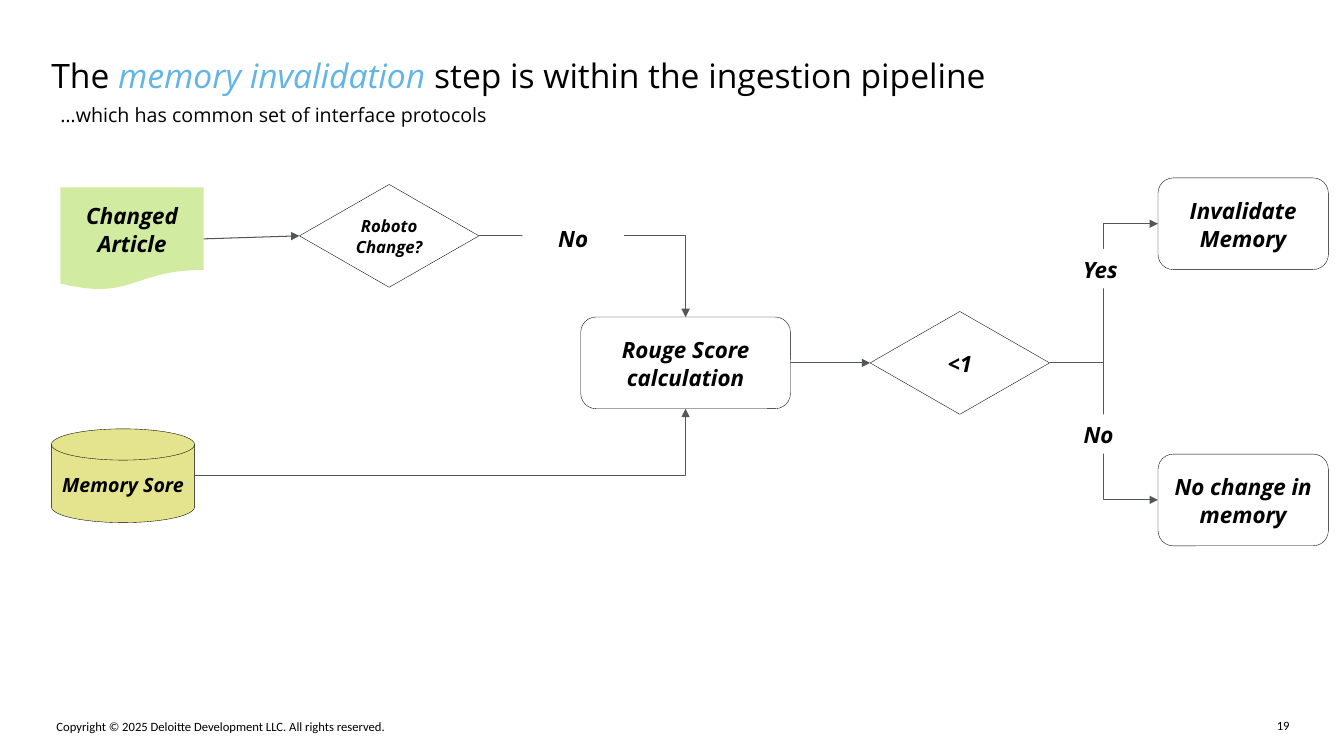
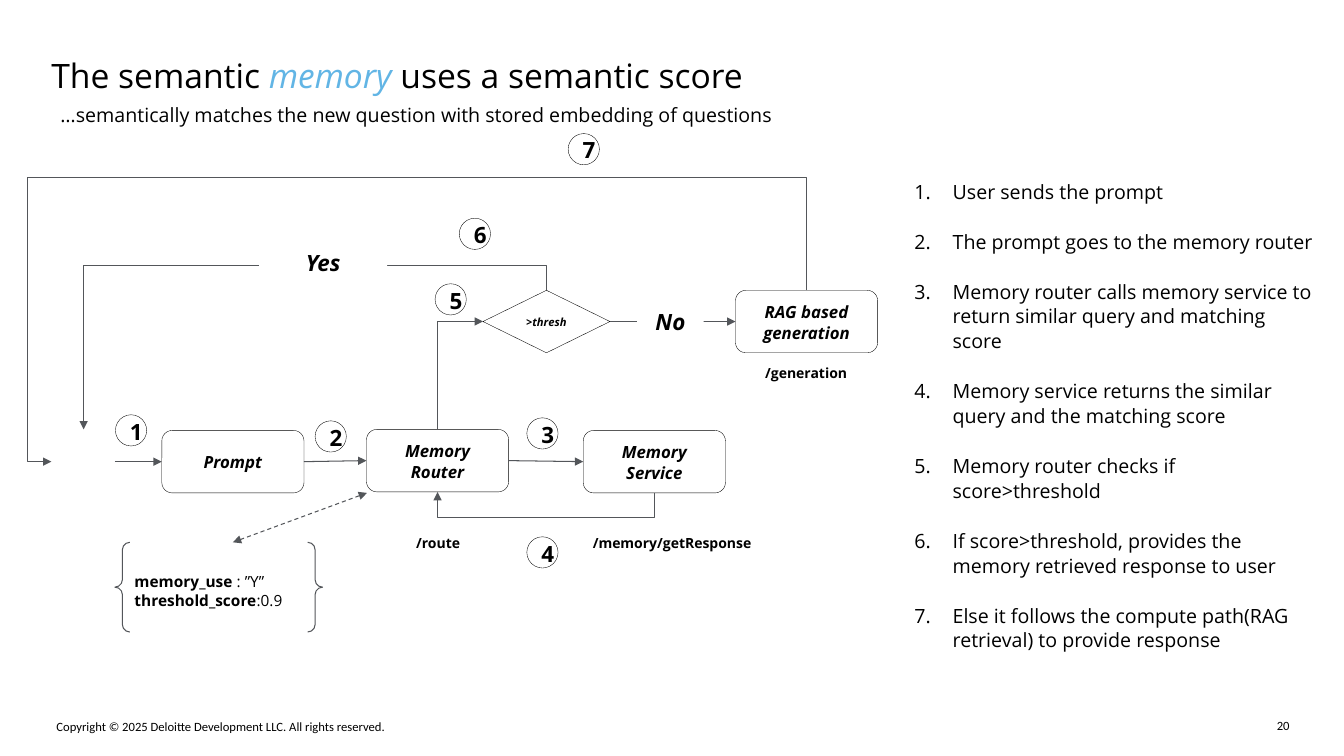
from pptx import Presentation
from pptx.dml.color import RGBColor
from pptx.enum.dml import MSO_LINE
from pptx.enum.shapes import MSO_CONNECTOR, MSO_SHAPE
from pptx.enum.text import MSO_ANCHOR, MSO_AUTO_SIZE, PP_ALIGN
from pptx.oxml import parse_xml
from pptx.oxml.ns import nsdecls, qn
from pptx.util import Inches, Pt

DOCUMENT = MSO_SHAPE.FLOWCHART_DOCUMENT
DISK = MSO_SHAPE.FLOWCHART_MAGNETIC_DISK
DECISION = MSO_SHAPE.FLOWCHART_DECISION
ROUNDED = MSO_SHAPE.ROUNDED_RECTANGLE
RECT = MSO_SHAPE.RECTANGLE
OVAL = MSO_SHAPE.OVAL
BRACES = MSO_SHAPE.LEFT_BRACE if not hasattr(MSO_SHAPE, "DOUBLE_BRACE") else MSO_SHAPE.DOUBLE_BRACE
LEFT, CENTER, RIGHT = PP_ALIGN.LEFT, PP_ALIGN.CENTER, PP_ALIGN.RIGHT
TOP, MIDDLE = MSO_ANCHOR.TOP, MSO_ANCHOR.MIDDLE

BLACK, WHITE, GREY, BLUE = "000000", "FFFFFF", "53565A", "62B5E5"
GREEN, YELLOW = "D1ECA0", "E3E48D"
COPYRIGHT = "Copyright © 2025 Deloitte Development LLC. All rights reserved."
BADGE = 0.31
X, Y = 0, 1  # axis along which an elbow route leaves its start

# Nodes: text -> (shape, centre x, centre y, width, height, text size, fill, line)
# Routes: (start, end, first axis or None when straight, bend positions)
# Labels: (text, left, top, width, height, text size, italic)
INVALIDATION = {
    "number": "19",
    "title": ["The ", ("memory invalidation ", {"color": BLUE, "italic": True}),
              "step is within the ingestion pipeline"],
    "subtitle": "…which has common set of interface protocols",
    "nodes": {
        "Changed Article": (DOCUMENT, 1.31, 2.37, 1.42, 1.02, 16, GREEN, None),
        "Memory Sore": (DISK, 1.22, 4.72, 1.42, 0.93, 14, YELLOW, BLACK),
        "Rouge Score calculation": (ROUNDED, 6.8, 3.6, 2.08, 0.91, 16, None, BLACK),
        "Roboto Change?": (DECISION, 3.86, 2.34, 1.78, 1.02, 12, None, BLACK),
        "<1": (DECISION, 9.52, 3.6, 1.78, 1.02, 16, None, BLACK),
        "Invalidate Memory": (ROUNDED, 12.33, 2.22, 1.69, 0.91, 16, None, BLACK),
        "No change in memory": (ROUNDED, 12.33, 4.96, 1.69, 0.91, 16, None, BLACK),
    },
    "routes": [
        (("Changed Article", "right"), ("Roboto Change?", "left"), None, []),
        (("Roboto Change?", "right"), ("Rouge Score calculation", "top"), X, []),
        (("Memory Sore", "right"), ("Rouge Score calculation", "bottom"), X, []),
        (("Rouge Score calculation", "right"), ("<1", "left"), None, []),
        (("<1", "right"), ("Invalidate Memory", "left"), X, [10.95]),
        (("<1", "right"), ("No change in memory", "left"), X, [10.95]),
    ],
    "labels": [
        ("No", 5.18, 2.16, 1.01, 0.39, 16, True),
        ("Yes", 10.41, 2.47, 1.01, 0.39, 16, True),
        ("No", 10.39, 4.11, 1.01, 0.39, 16, True),
    ],
}

SEMANTIC = {
    "number": "20",
    "title": ["The semantic ", ("memory ", {"color": BLUE, "italic": True}),
              "uses a semantic score"],
    "subtitle": "…semantically matches the new question with stored embedding of questions",
    "nodes": {
        "Prompt": (ROUNDED, 2.31, 4.58, 1.41, 0.62, 12, WHITE, BLACK),
        "Memory Router": (ROUNDED, 4.34, 4.57, 1.41, 0.62, 12, WHITE, BLACK),
        "Memory Service": (ROUNDED, 6.49, 4.58, 1.41, 0.62, 12, WHITE, BLACK),
        ">thresh": (DECISION, 5.42, 3.19, 1.26, 0.62, 8, None, BLACK),
        "RAG based generation": (ROUNDED, 8, 3.19, 1.41, 0.62, 12, WHITE, BLACK),
    },
    "routes": [
        ((1.14, 4.58), ("Prompt", "left"), None, []),
        (("Prompt", "right"), ("Memory Router", "left"), None, []),
        (("Memory Router", "right"), ("Memory Service", "left"), None, []),
        (("Memory Service", "bottom"), ("Memory Router", "bottom"), Y, [5.14]),
        (("Memory Router", "top"), (">thresh", "left"), Y, []),
        ((">thresh", "right"), ("RAG based generation", "left"), None, []),
        ((">thresh", "top"), (0.83, 4.26), Y, [2.63]),
        (("RAG based generation", "top"), (0.51, 4.58), Y, [1.76, 0.27]),
    ],
    "labels": [
        ("/generation", 7.29, 3.57, 1.41, 0.25, 10, False),
        ("/memory/getResponse", 5.52, 5.25, 2.29, 0.26, 10, False),
        ("/route", 3.2, 5.25, 2.29, 0.26, 10, False),
        ("Yes", 2.57, 2.43, 1.27, 0.34, 16, True),
        ("No", 6.32, 3.02, 0.66, 0.33, 16, True),
    ],
}

BADGE_CENTRES = [(1.3, 4.27), (3.28, 4.33), (5.38, 4.3), (5.38, 5.48),
                 (4.47, 2.97), (4.71, 2.32), (5.79, 1.48)]
STEPS = [
    "User sends the prompt",
    "The prompt goes to the memory router",
    "Memory router calls memory service to return similar query and matching score",
    "Memory service returns the similar query and the matching score",
    "Memory router checks if score>threshold",
    "If score>threshold, provides the memory retrieved response to user",
    "Else it follows the compute path(RAG retrieval) to provide response",
]
SETTINGS = [
    [("memory_use ", {"bold": True}), ": ”Y”"],
    [("threshold_score", {"bold": True}), ":0.9"],
]


def rgb(value):
    return RGBColor.from_string(value)


def inches(*values):
    return [Inches(value) for value in values]


def write(frame, paragraphs, size, font="Open Sans", color=BLACK, bold=False,
          italic=False, align=LEFT, anchor=TOP, insets=(0, 0), spacing=None,
          after=None, numbered=False, wrap=True):
    """Fill a frame; a paragraph is a string or a list of strings and (string, format) runs."""
    frame.auto_size = MSO_AUTO_SIZE.NONE
    frame.word_wrap = wrap
    frame.vertical_anchor = anchor
    frame.margin_left = frame.margin_right = Inches(insets[0])
    frame.margin_top = frame.margin_bottom = Inches(insets[1])
    for index, runs in enumerate(paragraphs):
        paragraph = frame.add_paragraph() if index else frame.paragraphs[0]
        if numbered:
            properties = paragraph._p.get_or_add_pPr()
            properties.set("marL", str(Inches(0.38)))
            properties.set("indent", str(-Inches(0.38)))
            properties.append(parse_xml(
                f'<a:buAutoNum {nsdecls("a")} type="arabicPeriod"/>'))
        paragraph.alignment = align
        if spacing:
            paragraph.line_spacing = spacing
        if after and index < len(paragraphs) - 1:
            paragraph.space_after = Pt(after)
        for part in [runs] if isinstance(runs, str) else runs:
            text, special = (part, {}) if isinstance(part, str) else part
            run = paragraph.add_run()
            run.text = text
            run.font.name = font
            run.font.size = Pt(size)
            run.font.bold = special.get("bold", bold)
            run.font.italic = special.get("italic", italic)
            run.font.color.rgb = rgb(special.get("color", color))


def add_text(slide, box, paragraphs, size, **style):
    write(slide.shapes.add_textbox(*inches(*box)).text_frame, paragraphs, size, **style)


def add_box(slide, kind, box, paragraphs, size, fill=WHITE, line=None,
            line_width=0.25, **style):
    shape = slide.shapes.add_shape(kind, *inches(*box))
    shape.shadow.inherit = False
    if fill:
        shape.fill.solid()
        shape.fill.fore_color.rgb = rgb(fill)
    else:
        shape.fill.background()
    if line:
        shape.line.color.rgb = rgb(line)
        shape.line.width = Pt(line_width)
    else:
        shape.line.fill.background()
    centred = {"align": CENTER, "anchor": MIDDLE, "insets": (0.1, 0.1),
               "spacing": 1.06, "bold": True}
    write(shape.text_frame, paragraphs, size, **{**centred, **style})


def style_arrow(connector, ends=("tail",), dashed=False):
    connector.line.color.rgb = rgb(GREY)
    connector.line.width = Pt(0.75)
    if dashed:
        connector.line.dash_style = MSO_LINE.DASH
    properties = connector._element.spPr
    for end in ends:
        properties.find(qn("a:ln")).append(parse_xml(
            f'<a:{end}End {nsdecls("a")} type="triangle"/>'))
    properties.append(parse_xml(f'<a:effectLst {nsdecls("a")}/>'))


def add_straight(slide, start, end, **style):
    style_arrow(slide.shapes.add_connector(
        MSO_CONNECTOR.STRAIGHT, *inches(*start, *end)), **style)


def add_elbow(slide, start, end, axis, bends):
    """Draw a right-angled arrow; bends alternate between the first axis and the other."""
    delta = [end[X] - start[X], end[Y] - start[Y]]
    along, across = abs(delta[axis]), abs(delta[1 - axis])
    left = (start[X] + end[X] - along) / 2
    top = (start[Y] + end[Y] - across) / 2
    connector = slide.shapes.add_connector(
        MSO_CONNECTOR.ELBOW, *inches(left, top, left + along, top + across))
    if axis == X:
        turn, flip_h, flip_v = 0, delta[X] < 0, delta[Y] < 0
    else:
        turn = 90 if delta[Y] < 0 else 270
        flip_h, flip_v = True, (delta[X] > 0) == (delta[Y] < 0)
    frame = connector._element.spPr.find(qn("a:xfrm"))
    for name, value in (("rot", turn * 60000), ("flipH", int(flip_h)), ("flipV", int(flip_v))):
        if value:
            frame.set(name, str(value))
    geometry = connector._element.spPr.find(qn("a:prstGeom"))
    geometry.set("prst", f"bentConnector{len(bends) + 2}")
    guides = geometry.find(qn("a:avLst"))
    for index, bend in enumerate(bends):
        bend_axis = (axis + index) % 2
        share = round((bend - start[bend_axis]) / delta[bend_axis] * 100000)
        guides.append(parse_xml(
            f'<a:gd {nsdecls("a")} name="adj{index + 1}" fmla="val {share}"/>'))
    style_arrow(connector)


def locate(point, nodes):
    """Turn a (node, side) pair into coordinates; pass coordinates through."""
    name, side = point
    if name not in nodes:
        return point
    _, x, y, width, height, *_ = nodes[name]
    return {"left": (x - width / 2, y), "right": (x + width / 2, y),
            "top": (x, y - height / 2), "bottom": (x, y + height / 2)}[side]


def centred_box(x, y, width, height):
    return x - width / 2, y - height / 2, width, height


def add_flow_slide(deck, flow):
    slide = deck.slides.add_slide(deck.slide_layouts[5])
    title = slide.shapes.title
    title.left, title.top, title.width, title.height = inches(0.51, 0.54, 12.37, 0.4)
    write(title.text_frame, [flow["title"]], 24)
    add_text(slide, (0.6, 1.02, 12.5, 0.27), [flow["subtitle"]], 14)
    add_text(slide, (0.56, 7.13, 5.86, 0.15), [COPYRIGHT], 9, font="Calibri")
    add_text(slide, (12.64, 7.12, 0.15, 0.15), [flow["number"]], 9,
             font="Calibri", align=RIGHT, wrap=False)

    nodes = flow["nodes"]
    for text, (kind, x, y, width, height, size, fill, line) in nodes.items():
        add_box(slide, kind, centred_box(x, y, width, height), [text], size,
                fill=fill, line=line, italic=True)
    for start, end, axis, bends in flow["routes"]:
        start, end = locate(start, nodes), locate(end, nodes)
        if axis is None:
            add_straight(slide, start, end)
        else:
            add_elbow(slide, start, end, axis, bends)
    for text, *box, size, italic in flow["labels"]:
        add_box(slide, RECT, box, [text], size, italic=italic)
    return slide


def main():
    deck = Presentation()
    deck.slide_width, deck.slide_height = inches(13.33, 7.5)
    add_flow_slide(deck, INVALIDATION)

    semantic = add_flow_slide(deck, SEMANTIC)
    add_box(semantic, BRACES, (1.14, 5.38, 2.06, 0.89), SETTINGS, 11, fill=None,
            line=GREY, line_width=0.75, align=LEFT, insets=(0.1, 0.05),
            spacing=None, bold=False)
    add_straight(semantic, (2.31, 5.38), (3.64, 4.89), ends=("head", "tail"), dashed=True)
    for number, centre in enumerate(BADGE_CENTRES, 1):
        add_box(semantic, OVAL, centred_box(*centre, BADGE, BADGE), [str(number)], 16,
                line=BLACK)
    add_text(semantic, (8.97, 1.67, 4.21, 4.86), STEPS, 14, insets=(0.1, 0.1),
             spacing=1.06, after=17.8, numbered=True)
    deck.save("out.pptx")


if __name__ == "__main__":
    main()
